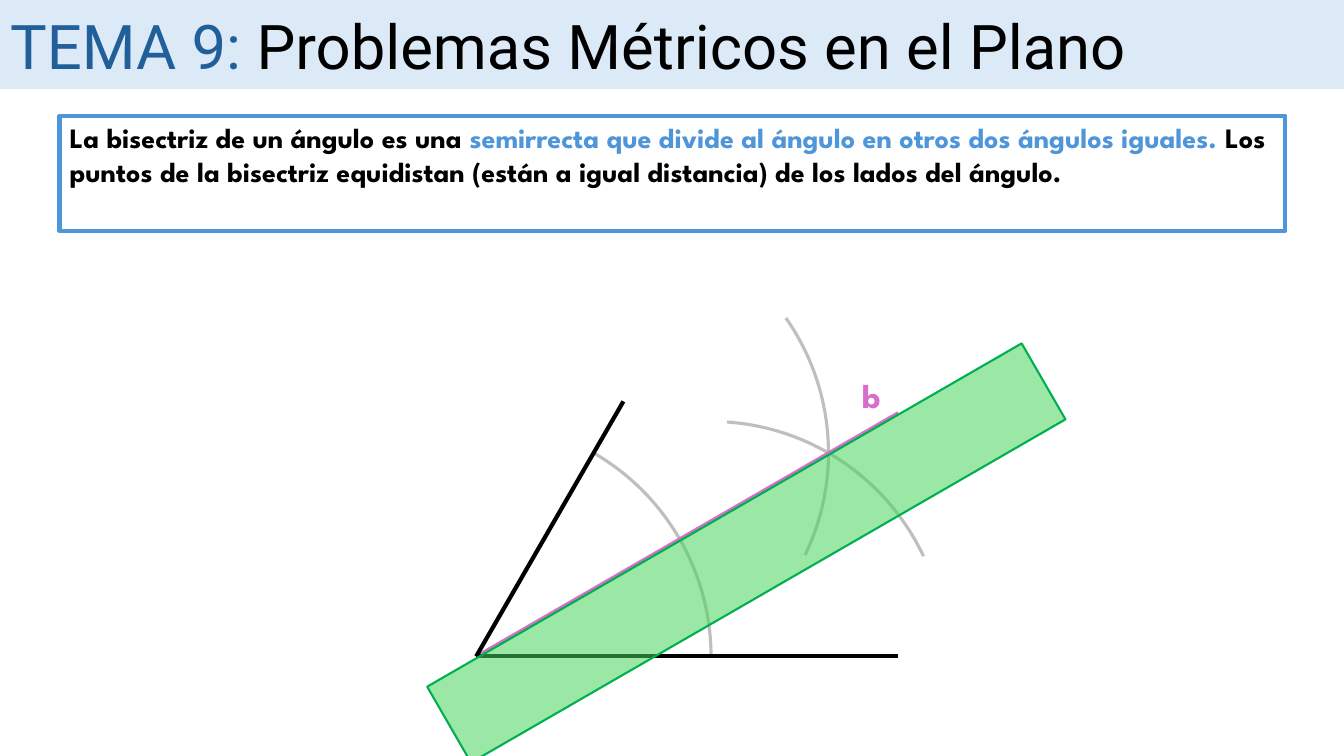
import math

import lxml.etree
import pptx
import pptx.dml.color
import pptx.enum.shapes
import pptx.enum.text
import pptx.oxml.ns
import pptx.util
from pptx.util import Cm

BLACK, BLUE, DARK_BLUE, PALE_BLUE = "000000", "4E95D9", "215F9A", "DCEAF7"
GREY, PINK, GREEN, DARK_GREEN = "BFBFBF", "D86ECC", "47D45A", "00B050"
SHAPES = pptx.enum.shapes.MSO_SHAPE
ANCHORS = pptx.enum.text.MSO_ANCHOR
ALIGNMENTS = pptx.enum.text.PP_ALIGN


def set_color(color_format, color):
    color_format.rgb = pptx.dml.color.RGBColor.from_string(color)


def set_fill(shape, color):
    shape.fill.solid()
    set_color(shape.fill.fore_color, color)


def set_line(shape, color, width):
    set_color(shape.line.color, color)
    shape.line.width = pptx.util.Pt(width)


def add_xml(parent, tag, **attributes):
    return lxml.etree.SubElement(parent, pptx.oxml.ns.qn(tag), **attributes)


def place(shape, box):
    shape.left, shape.top, shape.width, shape.height = (Cm(length) for length in box)


def write(shape, spans, font, size, bold=False, alignment=ALIGNMENTS.LEFT,
          anchor=ANCHORS.TOP):
    """Fill the shape with one paragraph made of (text, colour) spans."""
    frame = shape.text_frame
    frame.word_wrap = True
    frame.auto_size = pptx.enum.text.MSO_AUTO_SIZE.NONE
    frame.vertical_anchor = anchor
    para = frame.paragraphs[0]
    properties = para._p.get_or_add_pPr()
    properties.set("marL", "0")
    properties.set("indent", "0")
    add_xml(properties, "a:buNone")
    para.alignment = alignment
    para.space_before = pptx.util.Pt(0)
    para.font.name = font
    para.font.size = pptx.util.Pt(size)
    para.font.bold = bold
    for text, color in spans:
        span = para.add_run()
        span.text = text
        set_color(span.font.color, color)


def fill_title(slide, box):
    title = slide.shapes.title
    place(title, box)
    set_fill(title, PALE_BLUE)
    spans = [("TEMA 9: ", DARK_BLUE), ("Problemas Métricos en el Plano", BLACK)]
    write(title, spans, "Roboto", 44, anchor=ANCHORS.MIDDLE)


def fill_definition(slide, box):
    body = slide.placeholders[1]
    place(body, box)
    set_line(body, BLUE, 3)
    spans = [
        ("La bisectriz de un ángulo es una ", BLACK),
        ("semirrecta que divide al ángulo en otros dos ángulos iguales.", BLUE),
        (" Los puntos de la bisectriz equidistan (están a igual distancia)"
         " de los lados del ángulo.", BLACK),
    ]
    write(body, spans, "League Spartan", 20, bold=True)


def polar(origin, angle, distance):
    """Point at an anticlockwise angle in degrees from the horizontal."""
    radians = math.radians(angle)
    return (origin[0] + distance * math.cos(radians),
            origin[1] - distance * math.sin(radians))


def add_arc(slide, center, radius, start, end, rotation=0):
    """Draw an arc between two clockwise angles in degrees."""
    x, y = center
    arc = slide.shapes.add_shape(SHAPES.ARC, Cm(x - radius), Cm(y - radius),
                                 Cm(2 * radius), Cm(2 * radius))
    arc.adjustments[0] = start * 0.6
    arc.adjustments[1] = end * 0.6
    arc.rotation = rotation
    arc.shadow.inherit = False
    arc.fill.background()
    set_line(arc, GREY, 2.25)


def add_ray(slide, vertex, angle, length, color, width):
    x, y = polar(vertex, angle, length)
    ray = slide.shapes.add_connector(pptx.enum.shapes.MSO_CONNECTOR.STRAIGHT,
                                     Cm(vertex[0]), Cm(vertex[1]), Cm(x), Cm(y))
    set_line(ray, color, width)
    add_xml(ray._element.spPr, "a:effectLst")


def add_ruler(slide, box, rotation):
    ruler = slide.shapes.add_shape(SHAPES.RECTANGLE, 0, 0, 0, 0)
    place(ruler, box)
    ruler.rotation = rotation
    ruler.shadow.inherit = False
    set_fill(ruler, GREEN)
    fill_color = ruler._element.spPr.find(".//" + pptx.oxml.ns.qn("a:srgbClr"))
    add_xml(fill_color, "a:alpha", val="54000")
    set_line(ruler, DARK_GREEN, 1.5)


def add_bisector_figure(slide, box):
    """Compass construction of the bisector, with the ruler lying along it."""
    left, top, width, height = box
    vertex = (left + 1.84, top + height - 2.51)
    angle, radius = 60, 5.92
    add_arc(slide, polar(vertex, angle, radius), radius, 324.94, 25.75)
    add_arc(slide, polar(vertex, 0, radius), radius, 324.94, 25.75, rotation=309)
    add_arc(slide, vertex, radius, 300.2, 359.68)
    add_ray(slide, vertex, angle / 2, 12.28, PINK, 2.25)
    add_ray(slide, vertex, 0, 10.64, BLACK, 3)
    add_ray(slide, vertex, angle, 7.42, BLACK, 3)

    label = slide.shapes.add_textbox(0, 0, 0, 0)
    place(label, (left + 10.13, top + 1.32, 3.33, 1.27))
    write(label, [("b", PINK)], "League Spartan", 24, bold=True,
          alignment=ALIGNMENTS.CENTER)
    add_ruler(slide, (left, top + 4.83, width, 2.21), -angle / 2)


def main():
    deck = pptx.Presentation()
    deck.slide_width, deck.slide_height = Cm(33.87), Cm(19.05)
    slide = deck.slides.add_slide(deck.slide_layouts[1])
    fill_title(slide, (0, 0, 33.87, 2.24))
    fill_definition(slide, (1.5, 2.92, 30.89, 2.9))
    add_bisector_figure(slide, (10.16, 8, 17.3, 11.05))
    deck.save("out.pptx")


if __name__ == "__main__":
    main()
